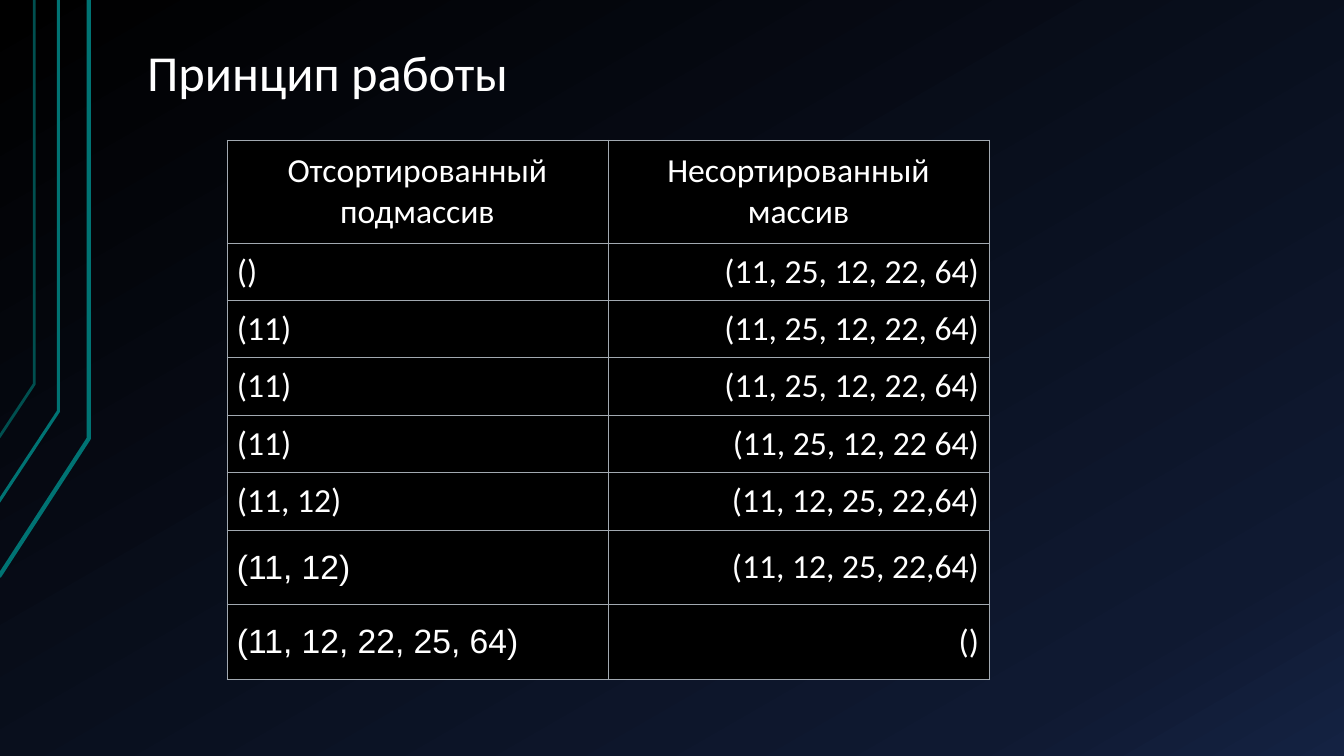
from lxml import etree
from pptx import Presentation
from pptx import util as u
from pptx.dml.color import RGBColor
from pptx.enum import text
from pptx.oxml import parse_xml
from pptx.oxml.ns import nsdecls, qn

COLORS = {
    "white": "FFFFFF", "black": "000000", "navy": "0F1931", "blue": "142242",
    "teal": "007373", "dim_teal": "004F4F", "border": "A2A9B1",
}
HEADERS = ("Отсортированный\nподмассив", "Несортированный\nмассив")
STEPS = [
    ("()", "(11, 25, 12, 22, 64)"),
    ("(11)", "(11, 25, 12, 22, 64)"),
    ("(11)", "(11, 25, 12, 22, 64)"),
    ("(11)", "(11, 25, 12, 22 64)"),
    ("(11, 12)", "(11, 12, 25, 22,64)"),
    ("(11, 12)", "(11, 12, 25, 22,64)"),
    ("(11, 12, 22, 25, 64)", "()"),
]
ROW_HEIGHTS = [1.02] + [0.57] * 5 + [0.74] * 2


def rgb(name):
    """Return a palette colour."""
    return RGBColor.from_string(COLORS[name])


def write_text(frame, content, size=24, font="Calibri", color="white",
               align=text.PP_ALIGN.LEFT, spacing=None):
    """Fill a text frame, one paragraph for each line of content."""
    frame.text = content
    for paragraph in frame.paragraphs:
        paragraph.alignment = align
        paragraph.line_spacing = spacing
        for run in paragraph.runs:
            run.font.size = u.Pt(size)
            run.font.name = font
            run.font.color.rgb = rgb(color)


def set_background(slide, stops, angle):
    """Give the slide a linear gradient of (percent, colour) stops."""
    fill = slide.background.fill
    fill.solid()
    solid = slide.element.find(".//" + qn("a:solidFill"))
    stop_xml = "".join(
        f'<a:gs pos="{percent * 1000}"><a:srgbClr val="{COLORS[name]}"/></a:gs>'
        for percent, name in stops)
    gradient = parse_xml(
        f'<a:gradFill {nsdecls("a")} rotWithShape="1"><a:gsLst>{stop_xml}</a:gsLst>'
        f'<a:lin ang="{angle * 60000}" scaled="0"/></a:gradFill>')
    solid.getparent().replace(solid, gradient)


def add_corner_lines(slide, left, top):
    """Draw the three bent lines at the left edge."""
    group = slide.shapes.add_group_shape()
    # Edge offset, bend x, bend y, end y, width in points, colour
    bends = [
        (-0.01, 0.88, 4.35, 5.72, 3, "teal"),
        (-0.02, 0.58, 4.08, 4.99, 2.25, "teal"),
        (-0.01, 0.34, 3.81, 4.34, 2, "dim_teal"),
    ]
    for edge, bend_x, bend_y, end_y, width, color in bends:
        points = [(u.Inches(left + x), u.Inches(top + y))
                  for x, y in ((edge, end_y), (bend_x, bend_y), (bend_x, 0))]
        builder = group.shapes.build_freeform(*points[0])
        builder.add_line_segments(points[1:], close=False)
        shape = builder.convert_to_shape()
        shape.shadow.inherit = False
        shape.fill.background()
        shape.line.color.rgb = rgb(color)
        shape.line.width = u.Pt(width)


def add_title(slide, left, top, width, height):
    """Place the title in the upper part of its box."""
    title = slide.shapes.title
    title.left, title.top = u.Inches(left), u.Inches(top)
    title.width, title.height = u.Inches(width), u.Inches(height)
    frame = title.text_frame
    frame.word_wrap = True
    frame.auto_size = text.MSO_AUTO_SIZE.NONE
    frame.vertical_anchor = text.MSO_ANCHOR.BOTTOM
    frame.margin_left = frame.margin_right = u.Inches(0.13)
    frame.margin_top, frame.margin_bottom = u.Inches(0.07), u.Inches(0.62)
    write_text(frame, "Принцип работы", size=36, spacing=0.9)


def set_borders(cell, color, width):
    """Draw a thin line on all four sides of a cell."""
    properties = cell._tc.get_or_add_tcPr()
    for index, side in enumerate("LRTB"):
        line = etree.Element(qn(f"a:ln{side}"), w=str(u.Pt(width)))
        fill = etree.SubElement(line, qn("a:solidFill"))
        etree.SubElement(fill, qn("a:srgbClr"), val=COLORS[color])
        properties.insert(index, line)


def add_steps_table(slide, left, top, width, row_heights):
    """Show the sorted and unsorted parts after each step."""
    rows = [HEADERS] + STEPS
    table = slide.shapes.add_table(
        len(rows), len(HEADERS), u.Inches(left), u.Inches(top),
        u.Inches(width), u.Inches(sum(row_heights))).table
    for column in table.columns:
        column.width = u.Inches(width / len(HEADERS))
    sides = (text.PP_ALIGN.LEFT, text.PP_ALIGN.RIGHT)
    for row_index, values in enumerate(rows):
        table.rows[row_index].height = u.Inches(row_heights[row_index])
        for column_index, value in enumerate(values):
            cell = table.cell(row_index, column_index)
            cell.fill.solid()
            cell.fill.fore_color.rgb = rgb("black")
            cell.vertical_anchor = text.MSO_ANCHOR.MIDDLE
            is_arial = column_index == 0 and row_index >= len(rows) - 2
            write_text(
                cell.text_frame, value, font="Arial" if is_arial else "Calibri",
                align=sides[column_index] if row_index else text.PP_ALIGN.CENTER)
            set_borders(cell, "border", 0.6)


def build_slide(presentation):
    """Build the slide that shows how the sort works."""
    slide = presentation.slides.add_slide(presentation.slide_layouts[5])
    set_background(slide, [(0, "black"), (85, "navy"), (100, "blue")], 60)
    add_corner_lines(slide, 0, 0)
    add_title(slide, 1.33, 0.3, 11.33, 1.34)
    add_steps_table(slide, 2.25, 1.39, 7.56, ROW_HEIGHTS)


presentation = Presentation()
presentation.slide_width = u.Inches(13.33)
presentation.slide_height = u.Inches(7.5)
build_slide(presentation)
presentation.save("out.pptx")
